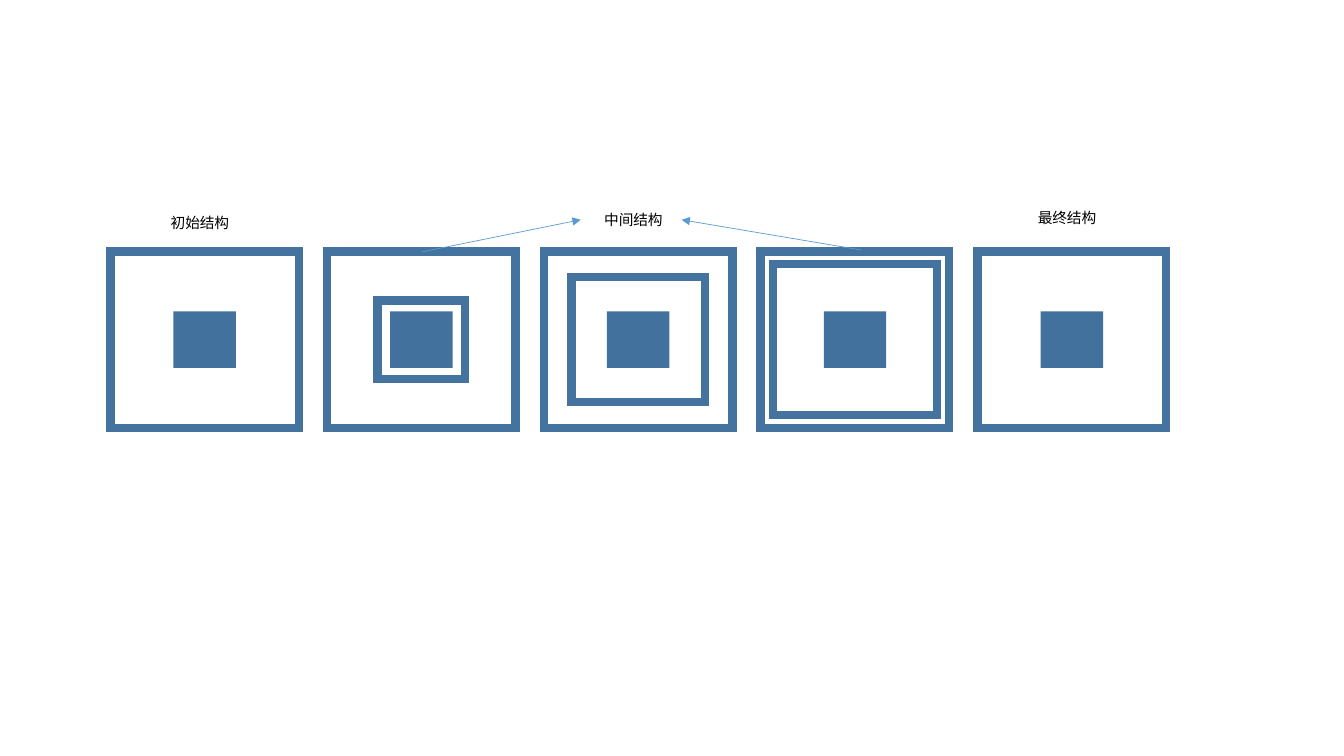
from dataclasses import dataclass

from lxml import etree
from pptx import Presentation
from pptx.dml.color import RGBColor
from pptx.enum import shapes, text
from pptx.oxml import ns
from pptx.util import Inches, Pt

FRAME_COLOUR = "43739E"
CORE_COLOUR = "41719C"
ARROW_COLOUR = "5B9BD5"
FIRST_CENTRE, PITCH, MIDDLE = 2.03, 2.15, 3.37
OUTER = (1.87, 1.75)
CORE = (0.62, 0.56)


@dataclass
class Stage:
    """One structure: its optional inner frame and its optional caption."""
    inner: tuple[float, float] | None = None
    caption: str = ""
    caption_top: float = 0


@dataclass
class Arrow:
    start: tuple[float, float]
    end: tuple[float, float]


STAGES = [
    Stage(caption="初始结构", caption_top=2.07),
    Stage(inner=(0.87, 0.78)),
    Stage(inner=(1.32, 1.24), caption="中间结构", caption_top=2.04),
    Stage(inner=(1.63, 1.5)),
    Stage(caption="最终结构", caption_top=2.02),
]
ARROWS = [
    Arrow((4.18, 2.5), (5.76, 2.18)),
    Arrow((8.54, 2.48), (6.76, 2.18)),
]


def colour(value: str) -> RGBColor:
    return RGBColor.from_string(value)


def add_rectangle(page, centre: float, size: tuple[float, float]):
    """Add a rectangle centred on the row of structures."""
    width, height = size
    box = page.shapes.add_shape(
        shapes.MSO_SHAPE.RECTANGLE,
        Inches(centre - width / 2), Inches(MIDDLE - height / 2),
        Inches(width), Inches(height))
    box.shadow.inherit = False
    return box


def add_frame(page, centre: float, size: tuple[float, float]) -> None:
    frame = add_rectangle(page, centre, size)
    frame.fill.background()
    frame.line.color.rgb = colour(FRAME_COLOUR)
    frame.line.width = Pt(6)
    corner = etree.SubElement(frame.line._get_or_add_ln(), ns.qn("a:miter"))
    corner.set("lim", "800000")


def add_core(page, centre: float) -> None:
    core = add_rectangle(page, centre, CORE)
    core.fill.solid()
    core.fill.fore_color.rgb = colour(CORE_COLOUR)
    core.line.fill.background()


def add_caption(page, centre: float, stage: Stage) -> None:
    width = 0.87
    box = page.shapes.add_textbox(
        Inches(centre - width / 2), Inches(stage.caption_top),
        Inches(width), Inches(0.28))
    box.text_frame.word_wrap = True
    box.text_frame.auto_size = text.MSO_AUTO_SIZE.SHAPE_TO_FIT_TEXT
    box.text_frame.text = stage.caption
    font = box.text_frame.paragraphs[0].runs[0].font
    font.name = "Calibri"
    font.size = Pt(10.5)
    font.color.rgb = colour("000000")


def add_arrow(page, arrow: Arrow) -> None:
    points = [Inches(value) for value in (*arrow.start, *arrow.end)]
    connector = page.shapes.add_connector(shapes.MSO_CONNECTOR.STRAIGHT, *points)
    connector.line.color.rgb = colour(ARROW_COLOUR)
    connector.line.width = Pt(0.5)
    head = etree.SubElement(connector.line._get_or_add_ln(), ns.qn("a:tailEnd"))
    head.set("type", "triangle")
    etree.SubElement(connector._element.spPr, ns.qn("a:effectLst"))


def main() -> None:
    deck = Presentation()
    deck.slide_width, deck.slide_height = Inches(13.33), Inches(7.5)
    page = deck.slides.add_slide(deck.slide_layouts[6])
    for index, stage in enumerate(STAGES):
        centre = FIRST_CENTRE + index * PITCH
        if stage.inner:
            add_frame(page, centre, stage.inner)
        add_frame(page, centre, OUTER)
        add_core(page, centre)
        if stage.caption:
            add_caption(page, centre, stage)
    for arrow in ARROWS:
        add_arrow(page, arrow)
    deck.save("out.pptx")


if __name__ == "__main__":
    main()
